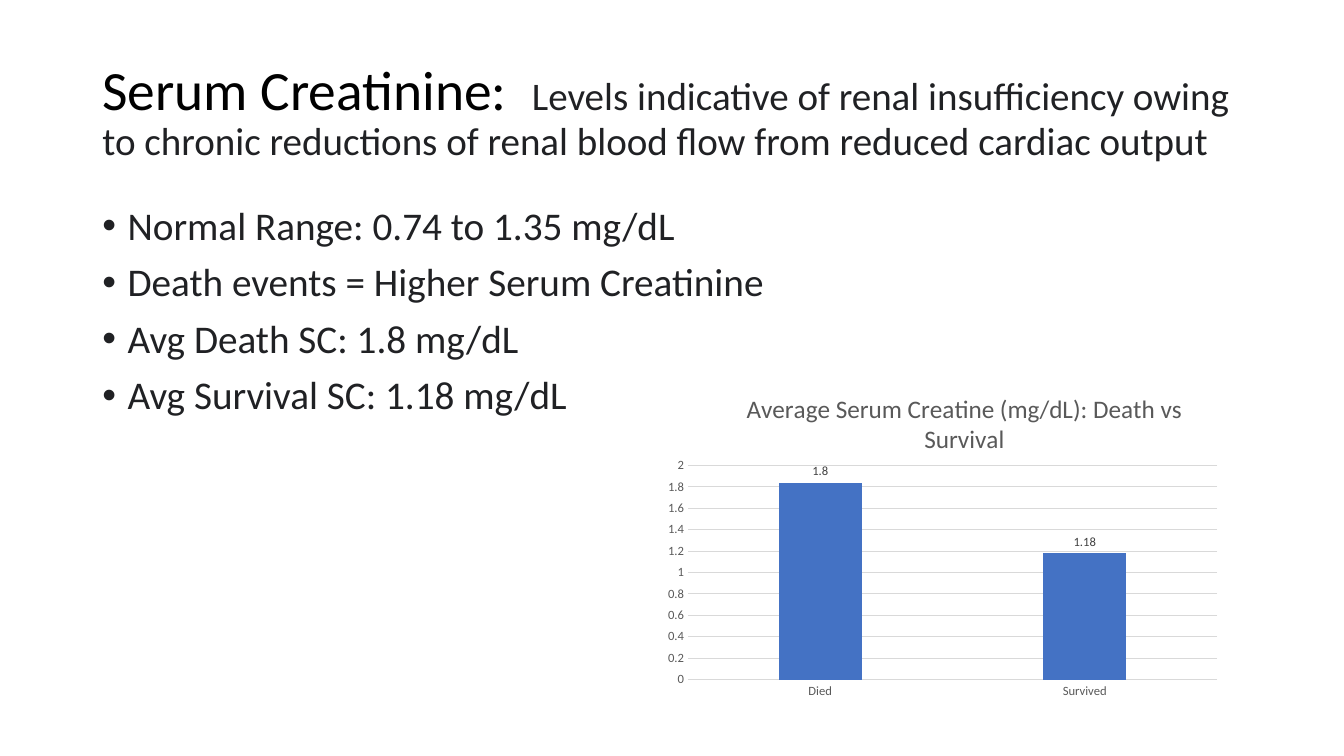
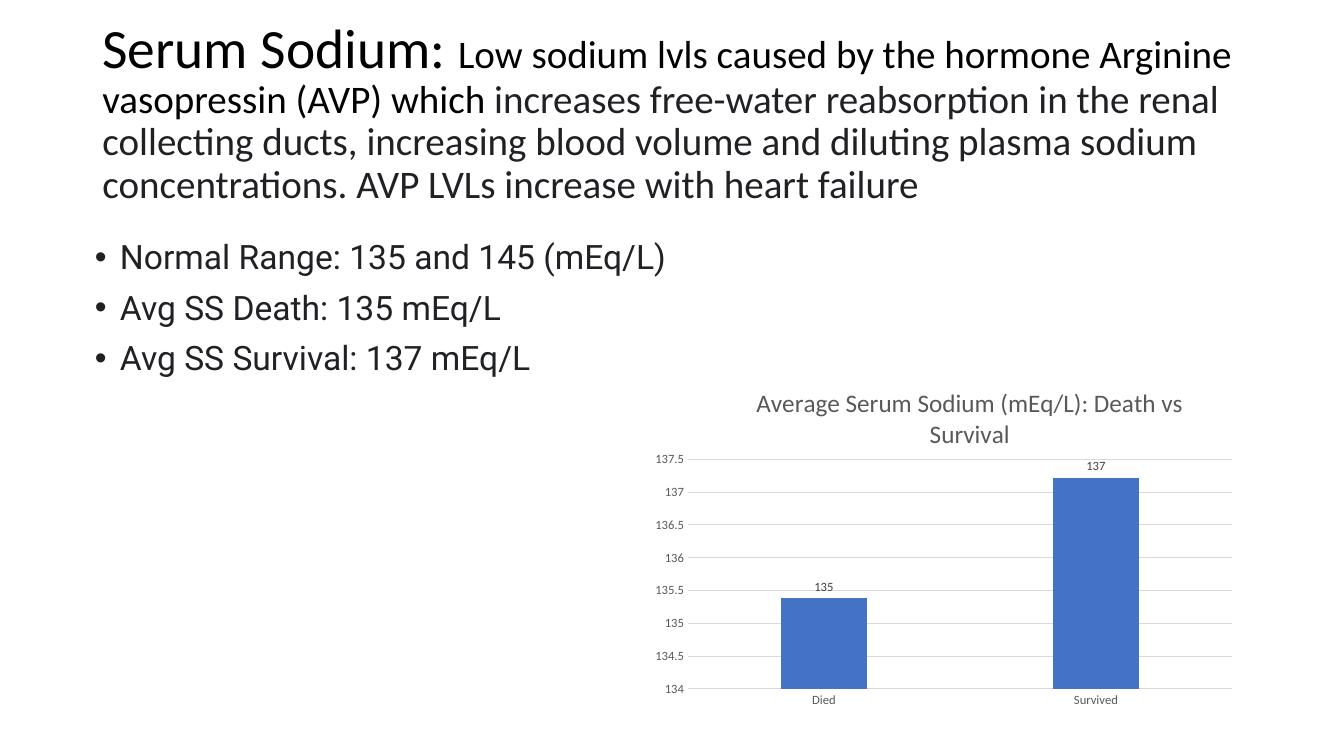
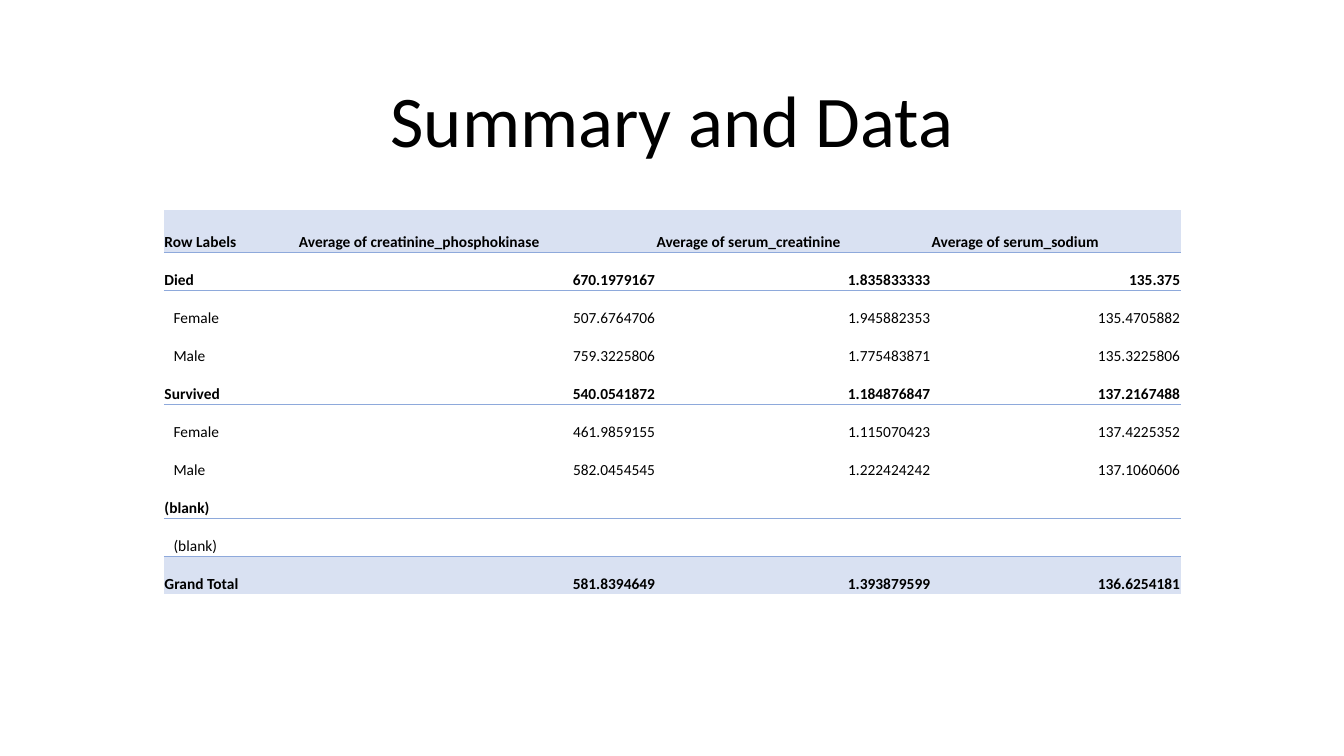
from dataclasses import dataclass

from lxml import etree
from pptx import Presentation
from pptx import util as u
from pptx.chart import data as chart_data
from pptx.dml import color as dml
from pptx.enum import chart as charts
from pptx.enum import text
from pptx.oxml import ns

Pt = u.Pt
BLACK, INK, GRAY, LABEL = "000000", "202124", "595959", "404040"
GRID, BAR, BAND, RULE = "D9D9D9", "4472C4", "D9E1F2", "8EA9DB"
FONT = "Calibri"
LEAD_SIZE, DETAIL_SIZE = 39.6, 27.9
NO_STYLE = "{2D5ABB26-0587-4C30-8999-92F81FD0307C}"


@dataclass(frozen=True)
class Frame:
    left: float
    top: float
    width: float
    height: float

    def lengths(self) -> tuple:
        return Pt(self.left), Pt(self.top), Pt(self.width), Pt(self.height)


@dataclass(frozen=True)
class Span:
    words: str
    size: float
    color: str = BLACK


@dataclass(frozen=True)
class Comparison:
    heading: str
    frame: Frame
    heading_at: tuple[float, float]
    plot: Frame
    averages: tuple[float, float]
    labels: tuple[str, str]
    scale: tuple[float, float, float]


@dataclass(frozen=True)
class Marker:
    title: tuple[Span, ...]
    facts: tuple[str, ...]
    facts_frame: Frame
    facts_font: str
    facts_size: float
    comparison: Comparison


@dataclass(frozen=True)
class Group:
    label: str
    averages: tuple[str, str, str]
    bold: bool = False
    ruled: bool = False
    banded: bool = False


TITLE = Frame(66, 28.8, 828, 104.4)
SUMMARY_TITLE = Frame(66, 44, 828, 89)

MARKERS = (
    Marker(
        title=(
            Span("Serum Creatinine:  ", LEAD_SIZE),
            Span("Levels indicative of renal insufficiency owing to chronic reductions "
                 "of renal blood flow from reduced cardiac output", DETAIL_SIZE, INK),
        ),
        facts=(
            "Normal Range: 0.74 to 1.35 mg/dL",
            "Death events = Higher Serum Creatinine",
            "Avg Death SC: 1.8 mg/dL",
            "Avg Survival SC: 1.18 mg/dL",
        ),
        facts_frame=Frame(66, 144, 828, 342.7),
        facts_font=FONT,
        facts_size=28,
        comparison=Comparison(
            heading="Average Serum Creatine (mg/dL): Death vs Survival",
            frame=Frame(468.7, 236.2, 409, 267.8),
            heading_at=(530, 276),
            plot=Frame(491.4, 332.5, 378, 153),
            averages=(1.84, 1.18),
            labels=("1.8", "1.18"),
            scale=(0, 2, 0.2),
        ),
    ),
    Marker(
        title=(
            Span("Serum Sodium: ", LEAD_SIZE),
            Span("Low sodium lvls caused by the hormone Arginine vasopressin (AVP) which ",
                 DETAIL_SIZE),
            Span("increases free-water reabsorption in the renal collecting ducts, "
                 "increasing blood volume and diluting plasma sodium concentrations. "
                 "AVP LVLs increase with heart failure", DETAIL_SIZE, INK),
        ),
        facts=(
            "Normal Range: 135 and 145 (mEq/L)",
            "Avg SS Death: 135 mEq/L",
            "Avg SS Survival: 137 mEq/L",
        ),
        facts_frame=Frame(60.5, 168.5, 828, 342.7),
        facts_font="Roboto",
        facts_size=24,
        comparison=Comparison(
            heading="Average Serum Sodium (mEq/L): Death vs Survival",
            frame=Frame(460, 231.8, 428.4, 279.4),
            heading_at=(537, 272),
            plot=Frame(491.4, 328.2, 388.6, 164),
            averages=(135.38, 137.22),
            labels=("135", "137"),
            scale=(134, 137.5, 0.5),
        ),
    ),
)

HEADER = ("Row Labels", "Average of creatinine_phosphokinase",
          "Average of serum_creatinine", "Average of serum_sodium")
GROUPS = (
    Group(HEADER[0], HEADER[1:], bold=True, ruled=True, banded=True),
    Group("Died", ("670.1979167", "1.835833333", "135.375"), bold=True, ruled=True),
    Group("Female", ("507.6764706", "1.945882353", "135.4705882")),
    Group("Male", ("759.3225806", "1.775483871", "135.3225806")),
    Group("Survived", ("540.0541872", "1.184876847", "137.2167488"), bold=True, ruled=True),
    Group("Female", ("461.9859155", "1.115070423", "137.4225352")),
    Group("Male", ("582.0454545", "1.222424242", "137.1060606")),
    Group("(blank)", ("", "", ""), bold=True, ruled=True),
    Group("(blank)", ("", "", ""), ruled=True),
    Group("Grand Total", ("581.8394649", "1.393879599", "136.6254181"), bold=True, banded=True),
)
COLUMN_WIDTHS = (96, 255.5, 196.5, 178.5)
HEADER_HEIGHT, ROW_HEIGHT = 29.8, 27.15


def rgb(value: str) -> dml.RGBColor:
    return dml.RGBColor.from_string(value)


def style(font, *, size: float, color: str = BLACK, name: str = FONT, bold: bool = False) -> None:
    font.size = Pt(size)
    font.name = name
    font.bold = bold
    font.color.rgb = rgb(color)


def write(paragraph, words: str, **format) -> None:
    run = paragraph.add_run()
    run.text = words
    style(run.font, **format)


def place(placeholder, frame: Frame, anchor) -> None:
    placeholder.left, placeholder.top, placeholder.width, placeholder.height = frame.lengths()
    body = placeholder.text_frame
    body.word_wrap = True
    body.auto_size = text.MSO_AUTO_SIZE.NONE
    body.vertical_anchor = anchor


def add_title(slide, frame: Frame, spans: tuple[Span, ...], align=text.PP_ALIGN.LEFT) -> None:
    title = slide.shapes.title
    place(title, frame, text.MSO_ANCHOR.MIDDLE)
    paragraph = title.text_frame.paragraphs[0]
    paragraph.alignment = align
    paragraph.line_spacing = 0.9
    for span in spans:
        write(paragraph, span.words, size=span.size, color=span.color)


def add_facts(slide, marker: Marker) -> None:
    facts = slide.placeholders[1]
    place(facts, marker.facts_frame, text.MSO_ANCHOR.TOP)
    for index, fact in enumerate(marker.facts):
        body = facts.text_frame
        paragraph = body.add_paragraph() if index else body.paragraphs[0]
        paragraph.line_spacing = 0.9
        paragraph.space_before = Pt(10)
        indents = paragraph._p.get_or_add_pPr()
        indents.set("marL", str(int(Pt(18))))
        indents.set("indent", str(int(Pt(-18))))
        write(paragraph, fact, size=marker.facts_size, color=INK, name=marker.facts_font)


def set_layout(parent, settings: dict) -> None:
    layout = parent.find(ns.qn("c:layout"))
    if layout is None:
        layout = etree.Element(ns.qn("c:layout"))
        parent.insert(0, layout)
    manual = etree.SubElement(layout, ns.qn("c:manualLayout"))
    for tag, value in settings.items():
        etree.SubElement(manual, ns.qn(f"c:{tag}")).set("val", str(value))


def add_comparison(slide, item: Comparison) -> None:
    source = chart_data.CategoryChartData()
    source.categories = ("Died", "Survived")
    source.add_series("Series 1", item.averages)
    chart = slide.shapes.add_chart(
        charts.XL_CHART_TYPE.COLUMN_CLUSTERED, *item.frame.lengths(), source).chart
    style(chart.font, size=10)
    chart.has_legend = False
    chart.has_title = True
    write(chart.chart_title.text_frame.paragraphs[0], item.heading, size=18, color=GRAY)

    frame, plot_frame = item.frame, item.plot
    heading_left, heading_top = item.heading_at
    set_layout(chart.chart_title._element, {
        "xMode": "edge", "yMode": "edge",
        "x": (heading_left - frame.left) / frame.width,
        "y": (heading_top - frame.top) / frame.height,
    })
    set_layout(chart._chartSpace.chart.plotArea, {
        "layoutTarget": "inner", "xMode": "edge", "yMode": "edge",
        "x": (plot_frame.left - frame.left) / frame.width,
        "y": (plot_frame.top - frame.top) / frame.height,
        "w": plot_frame.width / frame.width,
        "h": plot_frame.height / frame.height,
    })

    for axis in (chart.category_axis, chart.value_axis):
        axis.major_tick_mark = axis.minor_tick_mark = charts.XL_TICK_MARK.NONE
        style(axis.tick_labels.font, size=9, color=GRAY)
    scale = chart.value_axis
    scale.minimum_scale, scale.maximum_scale, scale.major_unit = item.scale
    scale.format.line.fill.background()
    scale.has_major_gridlines = True
    for line in (chart.category_axis.format.line, scale.major_gridlines.format.line):
        line.color.rgb = rgb(GRID)
        line.width = Pt(0.75)

    plot = chart.plots[0]
    plot.gap_width, plot.overlap, plot.vary_by_categories = 219, -27, False
    bars = plot.series[0]
    bars.format.fill.solid()
    bars.format.fill.fore_color.rgb = rgb(BAR)
    bars.data_labels.show_value = True
    bars.data_labels.position = charts.XL_LABEL_POSITION.OUTSIDE_END
    style(bars.data_labels.font, size=9, color=LABEL)
    for index, words in enumerate(item.labels):
        label = bars.points[index].data_label
        write(label.text_frame.paragraphs[0], words, size=9, color=LABEL)
        label.position = charts.XL_LABEL_POSITION.OUTSIDE_END


def set_rule(cell, side: str, visible: bool) -> None:
    line = etree.SubElement(cell._tc.get_or_add_tcPr(), ns.qn(f"a:{side}"))
    if not visible:
        etree.SubElement(line, ns.qn("a:noFill"))
        return
    line.set("w", str(int(Pt(0.5))))
    fill = etree.SubElement(line, ns.qn("a:solidFill"))
    etree.SubElement(fill, ns.qn("a:srgbClr")).set("val", RULE)


def fill_cell(cell, words: str, group: Group, *, indent: bool, right: bool, rule_above: bool) -> None:
    cell.margin_left = Pt(7) if indent else Pt(0.5)
    cell.margin_top = cell.margin_right = Pt(0.5)
    cell.margin_bottom = Pt(0)
    cell.vertical_anchor = text.MSO_ANCHOR.BOTTOM
    set_rule(cell, "lnT", rule_above)
    set_rule(cell, "lnB", group.ruled)
    if group.banded:
        cell.fill.solid()
        cell.fill.fore_color.rgb = rgb(BAND)
    else:
        cell.fill.background()
    if words:
        paragraph = cell.text_frame.paragraphs[0]
        paragraph.alignment = text.PP_ALIGN.RIGHT if right else text.PP_ALIGN.LEFT
        write(paragraph, words, size=11, bold=group.bold)


def add_summary_table(slide) -> None:
    heights = [HEADER_HEIGHT] + [ROW_HEIGHT] * (len(GROUPS) - 1)
    frame = Frame(117, 150.2, sum(COLUMN_WIDTHS), sum(heights))
    holder = slide.shapes.add_table(len(GROUPS), len(COLUMN_WIDTHS), *frame.lengths())
    for style_id in holder._element.iter(ns.qn("a:tableStyleId")):
        style_id.text = NO_STYLE
    table = holder.table
    table.first_row = table.horz_banding = False
    for column, width in zip(table.columns, COLUMN_WIDTHS):
        column.width = Pt(width)
    for row, height in zip(table.rows, heights):
        row.height = Pt(height)
    for r, group in enumerate(GROUPS):
        for c, words in enumerate((group.label, *group.averages)):
            fill_cell(table.cell(r, c), words, group,
                      indent=c == 0 and not group.bold,
                      right=r > 0 and c > 0,
                      rule_above=r > 0 and GROUPS[r - 1].ruled)


def main() -> None:
    deck = Presentation()
    deck.slide_width, deck.slide_height = Pt(960), Pt(540)
    for marker in MARKERS:
        slide = deck.slides.add_slide(deck.slide_layouts[1])
        add_title(slide, TITLE, marker.title)
        add_facts(slide, marker)
        add_comparison(slide, marker.comparison)
    summary = deck.slides.add_slide(deck.slide_layouts[5])
    add_title(summary, SUMMARY_TITLE, (Span("Summary and Data", 52),), text.PP_ALIGN.CENTER)
    add_summary_table(summary)
    deck.save("out.pptx")


if __name__ == "__main__":
    main()
